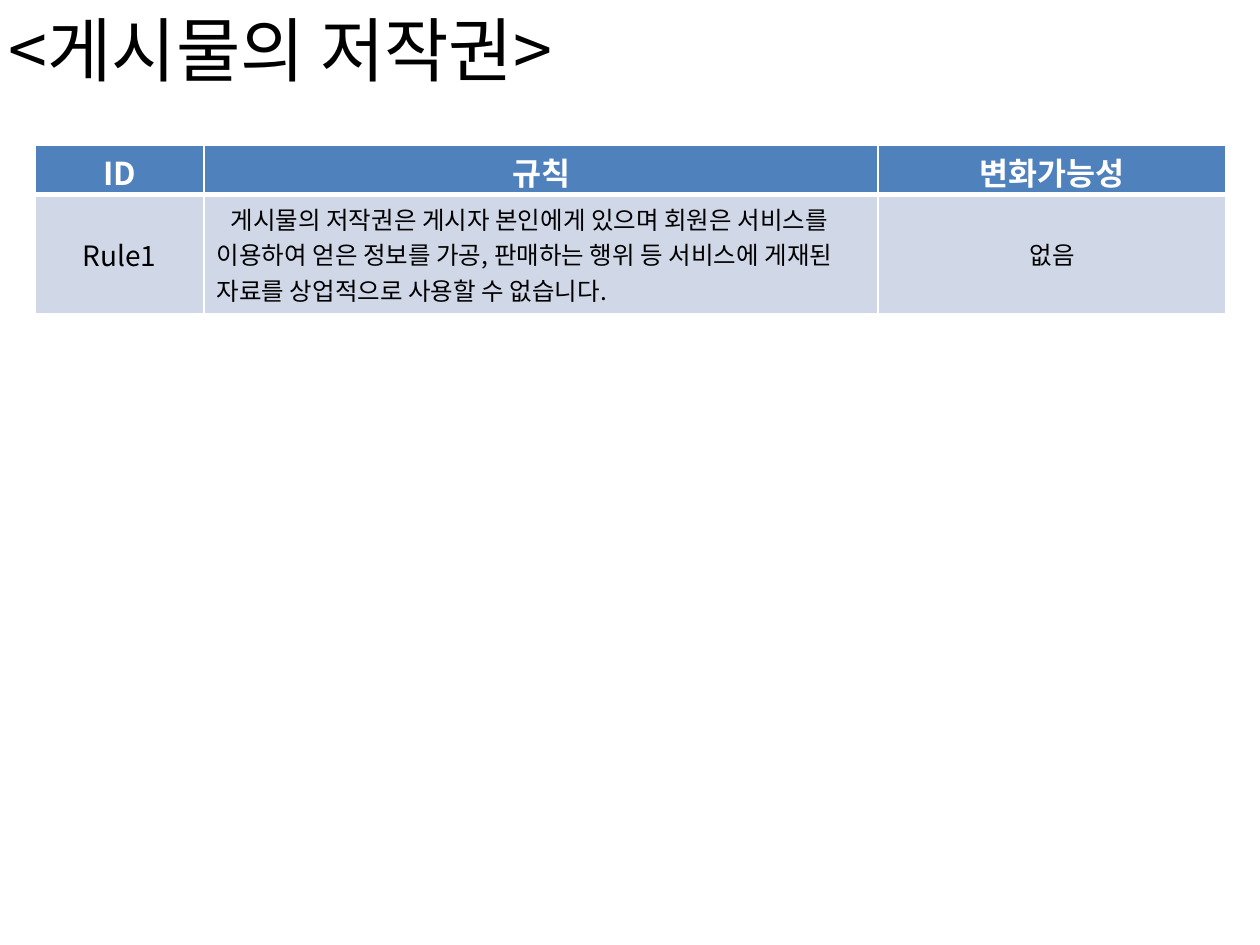
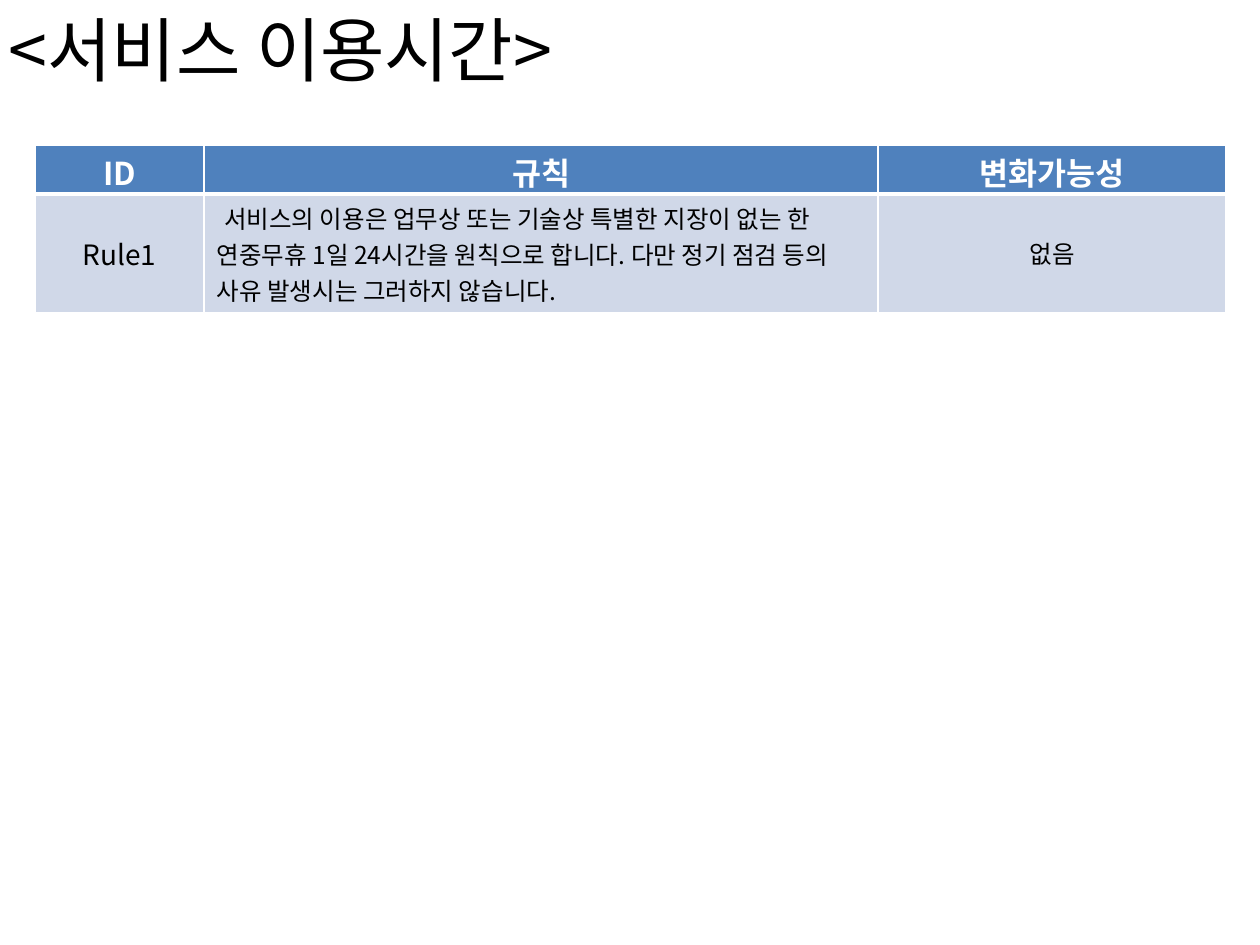
"""Build the service rule slides, each with a title and a rule table."""
from dataclasses import dataclass

from lxml.etree import SubElement
from pptx import Presentation
from pptx.dml.color import RGBColor as Rgb
from pptx.enum.text import MSO_ANCHOR as Anchor, MSO_AUTO_SIZE as AutoSize, PP_ALIGN as Align
from pptx.oxml.ns import qn
from pptx.util import Inches, Pt


@dataclass(frozen=True)
class Theme:
    font: str = "Noto Sans CJK KR"
    ink: str = "000000"
    paper: str = "FFFFFF"
    header: str = "4F81BD"
    body: str = "D0D8E8"
    title_size: int = 40
    header_size: int = 18
    id_size: int = 16
    body_size: int = 14
    thin: int = 1
    thick: int = 3


HEADINGS = ("ID", "규칙", "변화가능성")
COLUMN_WIDTHS = (1.34, 5.35, 2.76)
ROW_HEIGHTS = (0.39, 0.94)
RULES = (
    ("<게시물의 저작권>", 0.11,
     "게시물의 저작권은 게시자 본인에게 있으며 회원은 서비스를 이용하여 얻은 정보를 가공, "
     "판매하는 행위 등 서비스에 게재된 자료를 상업적으로 사용할 수 없습니다."),
    ("<서비스 이용시간>", 0.06,
     "서비스의 이용은 업무상 또는 기술상 특별한 지장이 없는 한 연중무휴 1일 24시간을 "
     "원칙으로 합니다. 다만 정기 점검 등의 사유 발생시는 그러하지 않습니다."),
)


def assign(target, formats):
    for name, value in formats.items():
        setattr(target, name, value)


class RuleDeck:
    def __init__(self, theme):
        self.theme = theme
        self.deck = Presentation()
        assign(self.deck, {"slide_width": Inches(10), "slide_height": Inches(7.5)})
        self.slide = None

    def add_slide(self):
        self.slide = self.deck.slides.add_slide(self.deck.slide_layouts[6])

    def add_wording(self, frame, wording, size, color, bold=False, align=Align.LEFT, indent=0):
        paragraph = frame.paragraphs[0]
        paragraph.alignment = align
        if indent:
            paragraph._p.get_or_add_pPr().set("indent", str(Inches(indent)))
        run = paragraph.add_run()
        run.text = wording
        assign(run.font, {"name": self.theme.font, "size": Pt(size), "bold": bold})
        run.font.color.rgb = Rgb.from_string(color)
        SubElement(run._r.get_or_add_rPr(), qn("a:ea"), typeface=self.theme.font)

    def add_title(self, wording):
        box = self.slide.shapes.add_textbox(Inches(-0.03), Inches(0), Inches(8.89), Inches(0.77))
        assign(box.text_frame, {"word_wrap": True, "auto_size": AutoSize.SHAPE_TO_FIT_TEXT})
        self.add_wording(box.text_frame, wording, self.theme.title_size, self.theme.ink)

    def add_borders(self, cell, top, bottom):
        thin = self.theme.thin
        properties = cell._tc.get_or_add_tcPr()
        for side, width in {"L": thin, "R": thin, "T": top, "B": bottom}.items():
            line = SubElement(properties, qn(f"a:ln{side}"), w=str(Pt(width)))
            SubElement(SubElement(line, qn("a:solidFill")), qn("a:srgbClr"), val=self.theme.paper)

    def fill_cell(self, cell, fill, top, bottom, formats, **text):
        assign(cell, formats)
        self.add_borders(cell, top, bottom)
        cell.fill.solid()
        cell.fill.fore_color.rgb = Rgb.from_string(fill)
        self.add_wording(cell.text_frame, **text)

    def add_rule_table(self, rule, indent):
        theme = self.theme
        table = self.slide.shapes.add_table(
            len(ROW_HEIGHTS), len(HEADINGS), Inches(0.28), Inches(1.15),
            Inches(sum(COLUMN_WIDTHS)), Inches(sum(ROW_HEIGHTS))).table
        for column, width in zip(table.columns, COLUMN_WIDTHS):
            column.width = Inches(width)
        for row, height in zip(table.rows, ROW_HEIGHTS):
            row.height = Inches(height)

        heading_format = {"margin_top": Inches(0.03), "margin_bottom": Inches(0)}
        for index, heading in enumerate(HEADINGS):
            self.fill_cell(table.cell(0, index), theme.header, theme.thin, theme.thick,
                           heading_format, wording=heading, size=theme.header_size,
                           color=theme.paper, bold=True, align=Align.CENTER)

        entries = (
            {"wording": "Rule1", "size": theme.id_size, "align": Align.CENTER},
            {"wording": rule, "size": theme.body_size, "indent": indent},
            {"wording": "없음", "size": theme.body_size, "align": Align.CENTER},
        )
        for index, entry in enumerate(entries):
            self.fill_cell(table.cell(1, index), theme.body, theme.thick, theme.thin,
                           {"vertical_anchor": Anchor.MIDDLE}, color=theme.ink, **entry)


def main():
    rules = RuleDeck(Theme())
    for heading, indent, rule in RULES:
        rules.add_slide()
        rules.add_rule_table(rule, indent)
        rules.add_title(heading)
    rules.deck.save("out.pptx")


if __name__ == "__main__":
    main()
